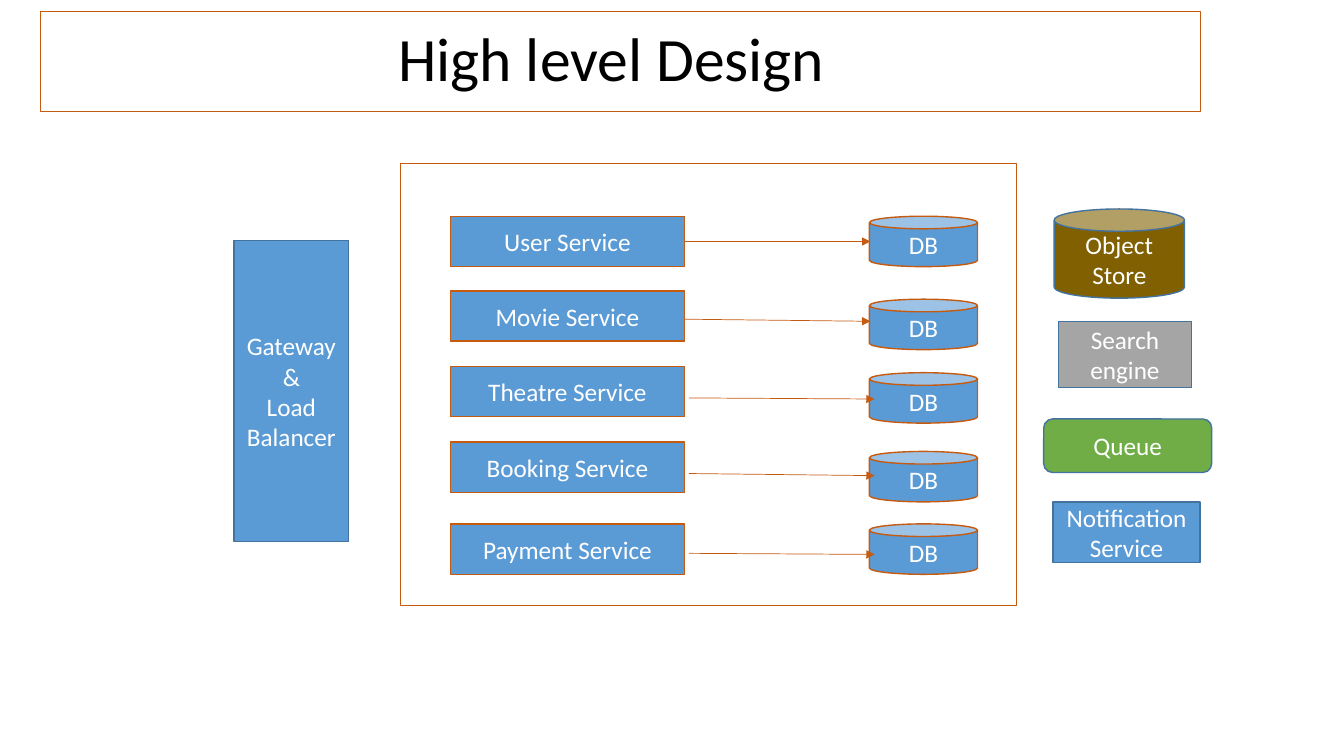
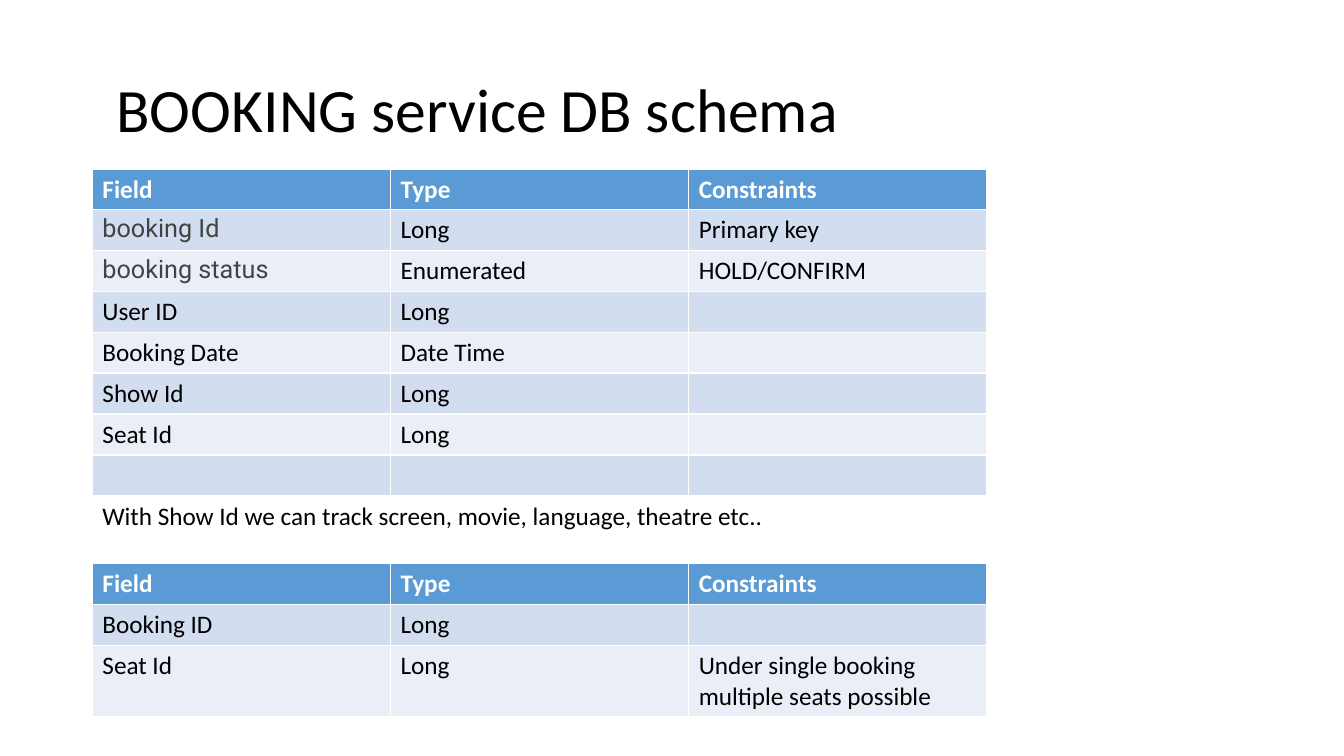
from lxml.etree import SubElement
from pptx import Presentation
from pptx.dml.color import RGBColor
from pptx.enum.shapes import MSO_CONNECTOR, MSO_SHAPE
from pptx.enum.text import MSO_ANCHOR, MSO_AUTO_SIZE, PP_ALIGN
from pptx.oxml.ns import qn
from pptx.util import Pt

PX = 9525  # EMU per px, 96 px to the inch
FONT = "Calibri"
COLORS = {
    "blue": "5B9BD5", "navy": "43739E", "rust": "C55A11", "gray": "A5A5A5",
    "green": "70AD47", "brown": "806000", "white": "FFFFFF", "black": "000000",
    "ink": "434343", "band1": "D2DEEF", "band2": "EAEFF7",
}
RGB = {name: RGBColor.from_string(value) for name, value in COLORS.items()}


def style_text(tf, size, color, align=PP_ALIGN.LEFT, font=FONT, bold=False):
    for p in tf.paragraphs:
        p.alignment = align
        for r in p.runs:
            r.font.name, r.font.size, r.font.bold = font, Pt(size), bold
            r.font.color.rgb = RGB[color]


def add_box(s, kind, box, text, fill, line, width=1):
    sp = s.shapes.add_shape(kind, *[v * PX for v in box])
    sp.shadow.inherit = False
    if fill:
        sp.fill.solid()
        sp.fill.fore_color.rgb = RGB[fill]
    else:
        sp.fill.background()
    sp.line.color.rgb = RGB[line]
    sp.line.width = Pt(width)
    if text:
        sp.text_frame.text = text
        style_text(sp.text_frame, 18, "white", PP_ALIGN.CENTER)
    return sp


prs = Presentation()
prs.slide_width, prs.slide_height = 1280 * PX, 720 * PX

# Titles: text, box, alignment, left and right inset
titles = [
    ("High level Design", (39, 11, 1104, 95), PP_ALIGN.CENTER, 10, 27),
    ("BOOKING service DB schema", (88, 38, 1104, 139), PP_ALIGN.LEFT, 23, 10),
]
for text, box, align, left, right in titles:
    s = prs.slides.add_slide(prs.slide_layouts[5])
    title = s.shapes.title
    title.left, title.top, title.width, title.height = [v * PX for v in box]
    tf = title.text_frame
    tf.text = text
    tf.auto_size = MSO_AUTO_SIZE.NONE
    tf.vertical_anchor = MSO_ANCHOR.MIDDLE
    tf.margin_left, tf.margin_right = left * PX, right * PX
    tf.paragraphs[0].line_spacing = 0.9
    style_text(tf, 44, "black", align)
design, schema = prs.slides

# Design: outlined title
design.shapes.title.line.color.rgb = RGB["rust"]
design.shapes.title.line.width = Pt(0.75)

# Design: services, their databases and the arrows between them
# name, service top, database top, arrow start x, start y, end y
services = [
    ("User", 206, 206, 652, 229, 230),
    ("Movie", 277, 285, 652, 304, 306),
    ("Theatre", 349, 355, 656, 379, 380),
    ("Booking", 421, 430, 656, 451, 453),
    ("Payment", 499, 499, 656, 527, 528),
]
ARROW_W, ROW_H = 177, 48
for name, top, db_top, x, y1, y2 in services:
    service = add_box(design, MSO_SHAPE.RECTANGLE, (429, top, 223, ROW_H),
                      f"{name} Service", "blue", "rust")
    add_box(design, MSO_SHAPE.CAN, (828, db_top, 103, ROW_H), "DB", "blue", "rust")
    arrow = design.shapes.add_connector(
        MSO_CONNECTOR.STRAIGHT, x * PX, y1 * PX, (x + ARROW_W) * PX, y2 * PX)
    if abs(y1 - top - ROW_H // 2) <= 1:
        arrow.begin_connect(service, 3)
    arrow.line.color.rgb = RGB["rust"]
    arrow.line.width = Pt(0.5)
    SubElement(arrow.line._get_or_add_ln(), qn("a:tailEnd"), type="triangle")
    SubElement(arrow._element.spPr, qn("a:effectLst"))

# Design: gateway, shared components and the frame round the services
for kind, box, text, fill in [
    (MSO_SHAPE.RECTANGLE, (223, 229, 109, 287), "Gateway &\nLoad\nBalancer", "blue"),
    (MSO_SHAPE.RECTANGLE, (1008, 306, 127, 63), "Search engine", "gray"),
    (MSO_SHAPE.ROUNDED_RECTANGLE, (994, 399, 160, 51), "Queue", "green"),
    (MSO_SHAPE.RECTANGLE, (1003, 478, 140, 58), "Notification Service", "blue"),
    (MSO_SHAPE.CAN, (1004, 199, 124, 85), "Object Store", "brown"),
]:
    add_box(design, kind, box, text, fill, "navy")
add_box(design, MSO_SHAPE.RECTANGLE, (381, 156, 587, 421), "", None, "rust", 0.75)

# Schema: note between the tables
note = schema.shapes.add_textbox(88 * PX, 472 * PX, 805 * PX, 38 * PX)
note.text_frame.word_wrap = True
note.text_frame.text = "With Show Id we can track screen, movie, language, theatre etc.."
style_text(note.text_frame, 18, "black")

# Schema: tables, as top, row heights and body rows
HEADER = ("Field", "Type", "Constraints")
tables = [
    (161, [38] + [39] * 7, [
        ("booking Id", "Long", "Primary key"),
        ("booking status", "Enumerated", "HOLD/CONFIRM"),
        ("User ID", "Long", ""),
        ("Booking Date", "Date Time", ""),
        ("Show Id", "Long", ""),
        ("Seat Id", "Long", ""),
        ("", "", ""),
    ]),
    (537, [39, 39, 67], [
        ("Booking ID", "Long", ""),
        ("Seat Id", "Long", "Under single booking multiple seats possible"),
    ]),
]
COL_W = 284
for top, heights, body in tables:
    table = schema.shapes.add_table(
        len(heights), len(HEADER), 88 * PX, top * PX,
        COL_W * len(HEADER) * PX, sum(heights) * PX).table
    for col in table.columns:
        col.width = COL_W * PX
    for i, (height, values) in enumerate(zip(heights, [HEADER] + body)):
        table.rows[i].height = height * PX
        fill = "blue" if i == 0 else ("band2", "band1")[i % 2]
        for j, value in enumerate(values):
            cell = table.cell(i, j)
            cell.fill.solid()
            cell.fill.fore_color.rgb = RGB[fill]
            cell.text_frame.text = value
            if value.startswith("booking"):
                style_text(cell.text_frame, 18, "ink", font="Roboto")
            else:
                style_text(cell.text_frame, 18, "black" if i else "white", bold=i == 0)

prs.save("out.pptx")
